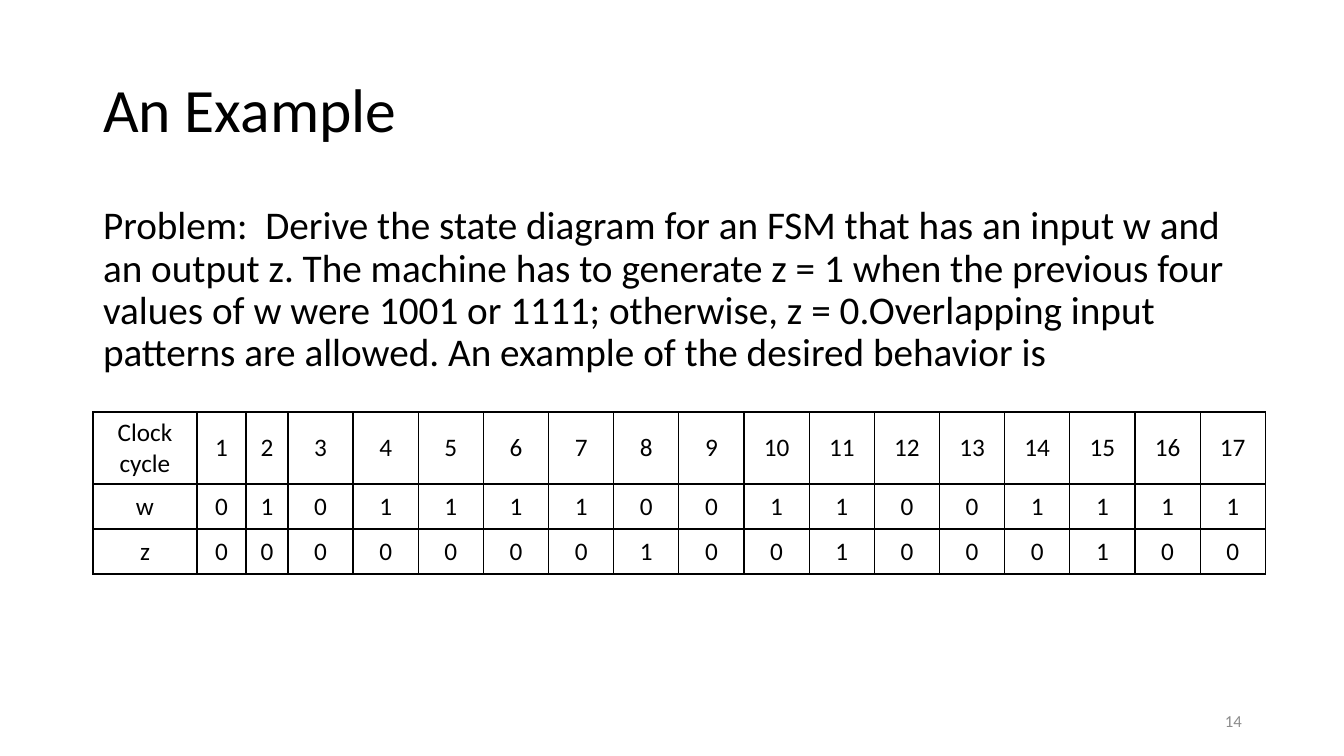
from lxml import etree
from pptx import Presentation
from pptx import util as u
from pptx.dml.color import RGBColor
from pptx.enum import text
from pptx.oxml import ns

BLACK = RGBColor(0, 0, 0)
GREY = RGBColor(0x8C, 0x8C, 0x8C)


def px(n):
    return round(n * 914400 / 100.8)


def style(frame, size, color, align, anchor):
    frame.word_wrap = True
    frame.auto_size = text.MSO_AUTO_SIZE.NONE
    frame.vertical_anchor = anchor
    for para in frame.paragraphs:
        para.alignment = align
        for run in para.runs:
            run.font.name = "Calibri"
            run.font.size = u.Pt(size)
            run.font.bold = False
            run.font.color.rgb = color


LEFT, MID, RIGHT = text.PP_ALIGN.LEFT, text.PP_ALIGN.CENTER, text.PP_ALIGN.RIGHT
TOP, CENTER = text.MSO_ANCHOR.TOP, text.MSO_ANCHOR.MIDDLE

deck = Presentation()
deck.slide_width, deck.slide_height = px(1344), px(756)
slide = deck.slides.add_slide(deck.slide_layouts[1])

title = slide.shapes.title
title.left, title.top, title.width, title.height = px(93), px(40), px(1159), px(146)
title.text_frame.text = "An Example"
title.text_frame.paragraphs[0].line_spacing = 0.9
style(title.text_frame, 44, BLACK, LEFT, CENTER)

body = slide.placeholders[1]
body.left, body.top, body.width, body.height = px(93), px(201), px(1159), px(480)
body.text_frame.text = (
    "Problem:  Derive the state diagram for an FSM that has an input w and "
    "an output z. The machine has to generate z = 1 when the previous four "
    "values of w were 1001 or 1111; otherwise, z = 0.Overlapping input "
    "patterns are allowed. An example of the desired behavior is"
)
para = body.text_frame.paragraphs[0]
para.line_spacing = 0.9
para.space_before = u.Pt(10)
props = para._p.get_or_add_pPr()
props.set("marL", "0")
props.set("indent", "0")
etree.SubElement(props, ns.qn("a:buNone"))
style(body.text_frame, 28, BLACK, LEFT, TOP)

number = slide.shapes.add_textbox(px(950), px(701), px(302), px(40))
number.text_frame.text = "14"
style(number.text_frame, 12, GREY, RIGHT, CENTER)

rows = [
    ["Clock cycle", *map(str, range(1, 18))],
    ["w", *"01011110011001111"],
    ["z", *"00000001001000100"],
]
widths = [px(104), px(49), px(42)] + [px(978) // 15] * 15
heights = [px(72), px(45), px(45)]
frame = slide.shapes.add_table(
    len(rows), len(widths), px(93), px(412), sum(widths), sum(heights)
)
table = frame.table
table.first_row = False
table.horz_banding = False
for col, width in zip(table.columns, widths):
    col.width = width
for row, height in zip(table.rows, heights):
    row.height = height

for r, row in enumerate(rows):
    for c, value in enumerate(row):
        cell = table.cell(r, c)
        cell.text = value
        cell.vertical_anchor = CENTER
        cell.fill.background()
        for para in cell.text_frame.paragraphs:
            para.alignment = MID
            font = para.runs[0].font
            font.name = "Calibri"
            font.size = u.Pt(18)
            font.color.rgb = BLACK
        props = cell._tc.get_or_add_tcPr()
        for place, side in enumerate(["lnL", "lnR", "lnT", "lnB"]):
            line = etree.Element(ns.qn("a:" + side), w=str(u.Pt(1)))
            fill = etree.SubElement(line, ns.qn("a:solidFill"))
            etree.SubElement(fill, ns.qn("a:srgbClr"), val=str(BLACK))
            props.insert(place, line)

deck.save("out.pptx")
